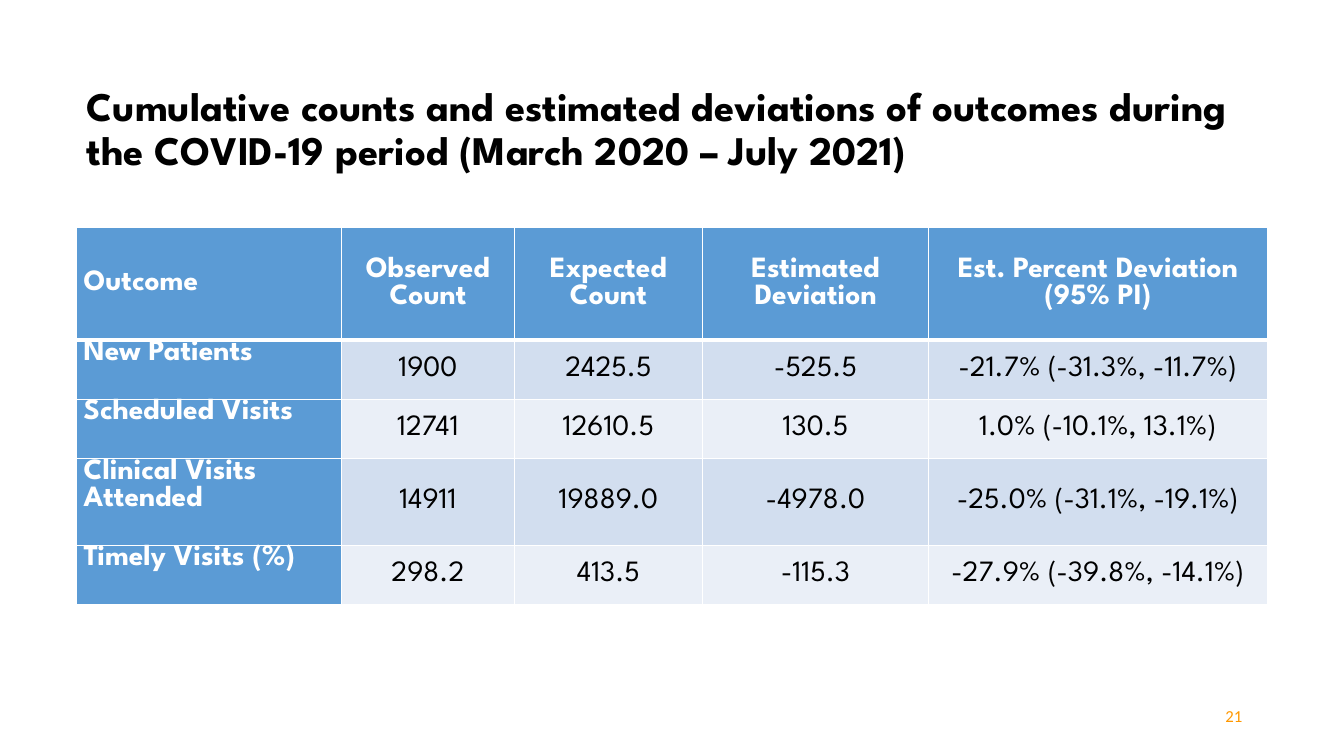
from pptx import Presentation
from pptx.dml.color import RGBColor as Rgb
from pptx.enum.text import MSO_ANCHOR as Anchor, PP_ALIGN as Align
from pptx.oxml.ns import qn
from pptx.util import Inches, Pt
from lxml.etree import SubElement

COLORS = {
    "ink": "000000",
    "white": "FFFFFF",
    "header": "5B9BD5",
    "odd": "D2DEEF",
    "even": "EAEFF7",
    "number": "FF9800",
}
HEADINGS = ["Outcome", "Observed Count", "Expected Count", "Estimated Deviation",
            "Est. Percent Deviation (95% PI)"]
OUTCOMES = [
    ["New Patients", "1900", "2425.5", "-525.5", "-21.7% (-31.3%, -11.7%)"],
    ["Scheduled Visits", "12741", "12610.5", "130.5", "1.0% (-10.1%, 13.1%)"],
    ["Clinical Visits Attended", "14911", "19889.0", "-4978.0", "-25.0% (-31.1%, -19.1%)"],
    ["Timely Visits (%)", "298.2", "413.5", "-115.3", "-27.9% (-39.8%, -14.1%)"],
]
COLUMN_WIDTHS = [2.63, 1.71, 1.87, 2.24, 3.36]
ROW_HEIGHTS = [1.11, 0.59, 0.59, 0.86, 0.59]


def assign(target, values):
    for name, value in values.items():
        setattr(target, name, value)


class SlideBuilder:
    heading_font = "League Spartan"
    number_font = "Calibri"

    def __init__(self, deck):
        self.slide = deck.slides.add_slide(deck.slide_layouts[5])

    def label(self, frame, text, size, color, font=heading_font, bold=False, **layout):
        paragraph = frame.paragraphs[0]
        run = paragraph.add_run()
        run.text = text
        assign(paragraph, layout)
        assign(run.font, {"name": font, "size": Pt(size), "bold": bold})
        run.font.color.rgb = Rgb.from_string(COLORS[color])

    def place(self, shape, left, top, width, height):
        assign(shape, {"left": Inches(left), "top": Inches(top),
                       "width": Inches(width), "height": Inches(height)})
        assign(shape.text_frame, {"word_wrap": True, "vertical_anchor": Anchor.MIDDLE})

    def title(self, text, *box):
        heading = self.slide.shapes.title
        self.place(heading, *box)
        self.label(heading.text_frame, text, 29, "ink", bold=True,
                   alignment=Align.LEFT, line_spacing=0.9)

    def page_number(self, text, *box):
        number = self.slide.shapes.add_textbox(0, 0, 0, 0)
        self.place(number, *box)
        self.label(number.text_frame, text, 12, "number", self.number_font,
                   alignment=Align.RIGHT)

    def borders(self, cell, bottom):
        properties = cell._tc.get_or_add_tcPr()
        for position, (side, width) in enumerate(
                {"lnL": 1, "lnR": 1, "lnT": 1, "lnB": bottom}.items()):
            line = SubElement(properties, qn(f"a:{side}"), w=str(Pt(width)))
            fill = SubElement(line, qn("a:solidFill"))
            SubElement(fill, qn("a:srgbClr"), val=COLORS["white"])
            properties.insert(position, line)

    def cell(self, cell, text, row, column):
        heading = row == 0 or column == 0
        shade = "header" if heading else "odd" if row % 2 else "even"
        cell.fill.solid()
        cell.fill.fore_color.rgb = Rgb.from_string(COLORS[shade])
        assign(cell, {
            "margin_left": Inches(0.07), "margin_right": Inches(0.07),
            "margin_top": 0, "margin_bottom": 0,
            "vertical_anchor": Anchor.TOP if row and not column else Anchor.MIDDLE,
        })
        self.label(cell.text_frame, text, 21, "white" if heading else "ink", bold=heading,
                   alignment=Align.CENTER if column else Align.LEFT)
        self.borders(cell, 1 if row else 3)

    def table(self, rows, left, top):
        table = self.slide.shapes.add_table(
            len(rows), len(COLUMN_WIDTHS), Inches(left), Inches(top),
            Inches(sum(COLUMN_WIDTHS)), Inches(sum(ROW_HEIGHTS))).table
        for column, width in zip(table.columns, COLUMN_WIDTHS):
            column.width = Inches(width)
        for row, height in zip(table.rows, ROW_HEIGHTS):
            row.height = Inches(height)
        for row, texts in enumerate(rows):
            for column, text in enumerate(texts):
                self.cell(table.cell(row, column), text, row, column)


def main():
    deck = Presentation()
    assign(deck, {"slide_width": Inches(13.33), "slide_height": Inches(7.5)})
    builder = SlideBuilder(deck)
    builder.title("Cumulative counts and estimated deviations of outcomes during "
                  "the COVID-19 period (March 2020 – July 2021)", 0.76, 0.73, 11.65, 1.12)
    builder.table([HEADINGS, *OUTCOMES], 0.76, 2.26)
    builder.page_number("21", 11.8, 6.95, 0.62, 0.3)
    deck.save("out.pptx")


if __name__ == "__main__":
    main()
